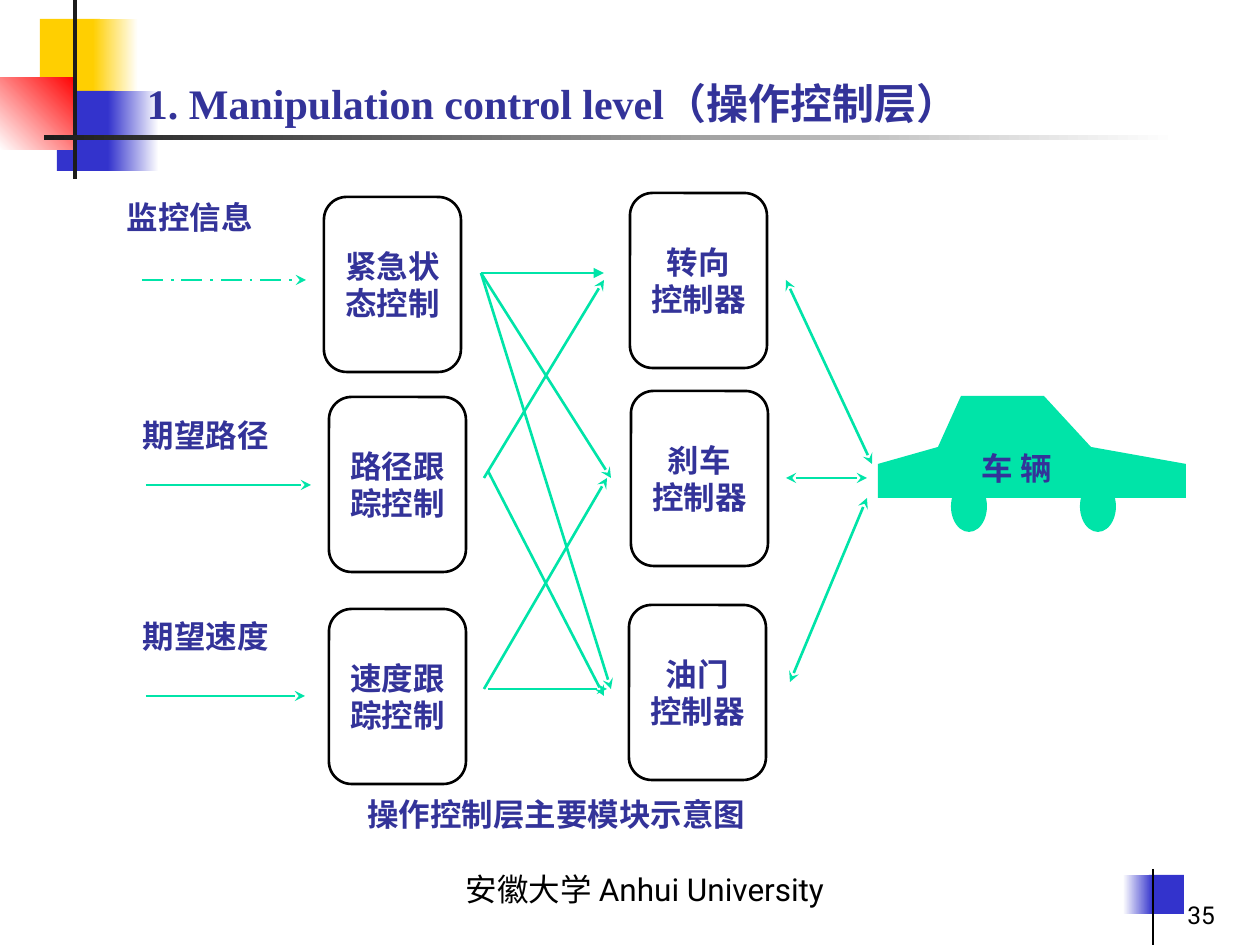
import pptx
import pptx.util
import pptx.dml.color
import pptx.enum.dml
import pptx.enum.shapes
import pptx.enum.text
import pptx.oxml
import pptx.oxml.ns

PX = 914400 / 126
C = {"yellow": "FFCF01", "blue": "3333CC", "red": "FF0000", "white": "FFFFFF",
     "dark": "1C1C1C", "black": "000000", "text": "333399", "green": "00E4A8"}
SHAPE = pptx.enum.shapes.MSO_SHAPE
ALIGN = pptx.enum.text.PP_ALIGN
ANCHOR = pptx.enum.text.MSO_ANCHOR
CJK = "Noto Sans CJK SC"


def emu(*px):
    return [pptx.util.Emu(round(v * PX)) for v in px]


def rgb(name):
    return pptx.dml.color.RGBColor.from_string(C[name])


def child(parent, tag, **attrs):
    el = pptx.oxml.parse_xml(f"<{tag} {pptx.oxml.ns.nsdecls('a')}/>")
    for key, value in attrs.items():
        el.set(key, value)
    parent.append(el)


def write(sp, text, size=18, font="Times New Roman", color="text", bold=True,
          align=ALIGN.CENTER, anchor=ANCHOR.TOP, inset=(0, 0)):
    tf = sp.text_frame
    tf.word_wrap = True
    tf.auto_size = pptx.enum.text.MSO_AUTO_SIZE.NONE
    tf.vertical_anchor = anchor
    tf.margin_left = tf.margin_right = emu(inset[0])[0]
    tf.margin_top = tf.margin_bottom = emu(inset[1])[0]
    for i, line in enumerate(text.split("\n")):
        p = tf.add_paragraph() if i else tf.paragraphs[0]
        p.alignment = align
        r = p.add_run()
        r.text = line
        r.font.size = pptx.util.Pt(size)
        r.font.bold = bold
        r.font.color.rgb = rgb(color)
        r.font.name = font
        child(r.font._element, "a:ea", typeface=CJK)


class Deck:
    """Draws styled elements on the current slide."""

    def __init__(self):
        self.prs = pptx.Presentation()
        self.prs.slide_width, self.prs.slide_height = emu(1260, 945)
        self.s = self.prs.slides.add_slide(self.prs.slide_layouts[5])

    def title(self, text, *box, **fmt):
        sp = self.s.shapes.title
        sp.left, sp.top, sp.width, sp.height = emu(*box)
        write(sp, text, **fmt)
        self.s.shapes.element.append(sp.element)

    def text(self, text, *box, **fmt):
        write(self.s.shapes.add_textbox(*emu(*box)), text, **fmt)

    def shape(self, kind, *box, fill, to=None, angle=0):
        sp = self.s.shapes.add_shape(kind, *emu(*box))
        sp.shadow.inherit = False
        sp.line.fill.background()
        if to:
            sp.fill.gradient()
            sp.fill.gradient_angle = angle
            for stop, pos, color in zip(sp.fill.gradient_stops, (0, 1), (fill, to)):
                stop.position = pos
                stop.color.rgb = rgb(color)
        else:
            sp.fill.solid()
            sp.fill.fore_color.rgb = rgb(fill)
        return sp

    def module(self, text, x, y):
        sp = self.shape(SHAPE.ROUNDED_RECTANGLE, x, y, 137, 175, fill="white")
        sp.adjustments[0] = 0.165
        sp.line.color.rgb = rgb("black")
        sp.line.width = pptx.util.Pt(1.5)
        write(sp, text, anchor=ANCHOR.MIDDLE, inset=(1, 6))

    def line(self, *ends, color="green", width=1.5, head=None, tail=None, dash=None):
        cn = self.s.shapes.add_connector(pptx.enum.shapes.MSO_CONNECTOR.STRAIGHT, *emu(*ends))
        cn.line.color.rgb = rgb(color)
        cn.line.width = pptx.util.Pt(width)
        if dash:
            cn.line.dash_style = dash
        ln = cn.line._ln
        if head:
            child(ln, "a:headEnd", type=head)
        if tail:
            child(ln, "a:tailEnd", type=tail)
        child(cn.element.spPr, "a:effectLst")

    def outline(self, points, fill):
        fb = self.s.shapes.build_freeform(*points[0], scale=PX)
        fb.add_line_segments(points[1:], close=True)
        sp = fb.convert_to_shape()
        sp.shadow.inherit = False
        sp.fill.solid()
        sp.fill.fore_color.rgb = rgb(fill)
        sp.line.fill.background()


def main():
    d = Deck()
    rect = SHAPE.RECTANGLE
    for x, y, w, h, fill, to, angle in [
        (40, 19, 60, 80, "yellow", None, 0),
        (93, 19, 45, 80, "yellow", "white", 0),
        (57, 91, 58, 80, "blue", None, 0),
        (108, 91, 51, 80, "blue", "white", 0),
        (0, 78, 77, 72, "white", "red", 45),
        (73, 0, 4, 179, "dark", None, 0),
        (44, 135, 1134, 5, "dark", "white", 0),
        (1149, 875, 35, 39, "blue", None, 0),
        (1123, 875, 30, 39, "white", "blue", 0),
    ]:
        d.shape(rect, x, y, w, h, fill=fill, to=to, angle=angle)
    d.line(1153, 869, 1153, 945, color="black", width=0.75)

    footer = dict(font="Roboto", color="black", bold=False, anchor=ANCHOR.BOTTOM, inset=(13, 6))
    d.text("安徽大学 Anhui University", 243, 851, 804, 63, **footer)
    d.text("35", 966, 869, 262, 66, size=14, align=ALIGN.RIGHT, **footer)
    d.title("1. Manipulation control level（操作控制层）", 134, 72, 898, 63,
            size=24, align=ALIGN.LEFT, inset=(13, 6))

    for text, x, y in [
        ("紧急状态控制", 324, 197), ("路径跟踪控制", 329, 397), ("速度跟踪控制", 329, 609),
        ("转向\n控制器", 630, 193), ("刹车\n控制器", 631, 391), ("油门\n控制器", 629, 605),
    ]:
        d.module(text, x, y)

    for text, x, y in [("监控信息", 102, 198), ("期望路径", 118, 416), ("期望速度", 118, 617)]:
        d.text(text, x, y, 176, 61)
    d.text("操作控制层主要模块示意图", 224, 795, 665, 74, font=CJK)

    d.line(142, 280, 306, 280, tail="stealth", dash=pptx.enum.dml.MSO_LINE.LONG_DASH_DOT)
    d.line(481, 273, 604, 273, tail="triangle")
    for ends in [
        (146, 485, 311, 485), (146, 696, 305, 696),
        (481, 273, 611, 478), (481, 273, 611, 689), (484, 478, 604, 280),
        (488, 471, 604, 696), (484, 689, 607, 478), (488, 689, 607, 689),
    ]:
        d.line(*ends, tail="stealth")
    for ends in [(786, 280, 872, 464), (786, 478, 867, 478), (790, 682, 867, 498)]:
        d.line(*ends, head="stealth", tail="stealth")

    for x in (951, 1080):
        d.shape(SHAPE.OVAL, x, 481, 36, 51, fill="green")
    d.outline([(878, 498), (878, 464), (938, 447), (961, 396), (1044, 396),
               (1091, 447), (1186, 464), (1186, 498)], "green")
    write(d.shape(rect, 950, 449, 134, 38, fill="green"), "车 辆")
    d.prs.save("out.pptx")


if __name__ == "__main__":
    main()
